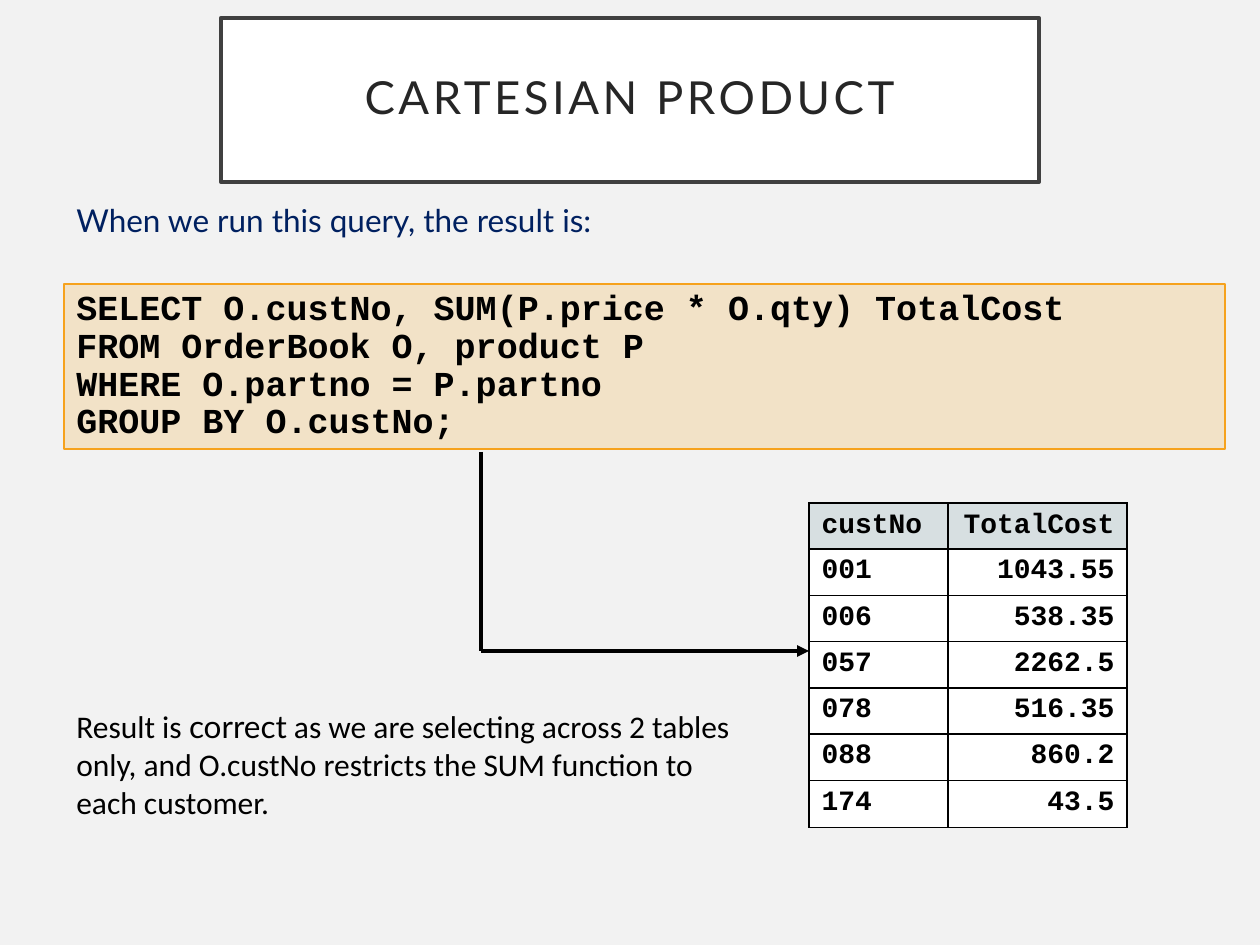
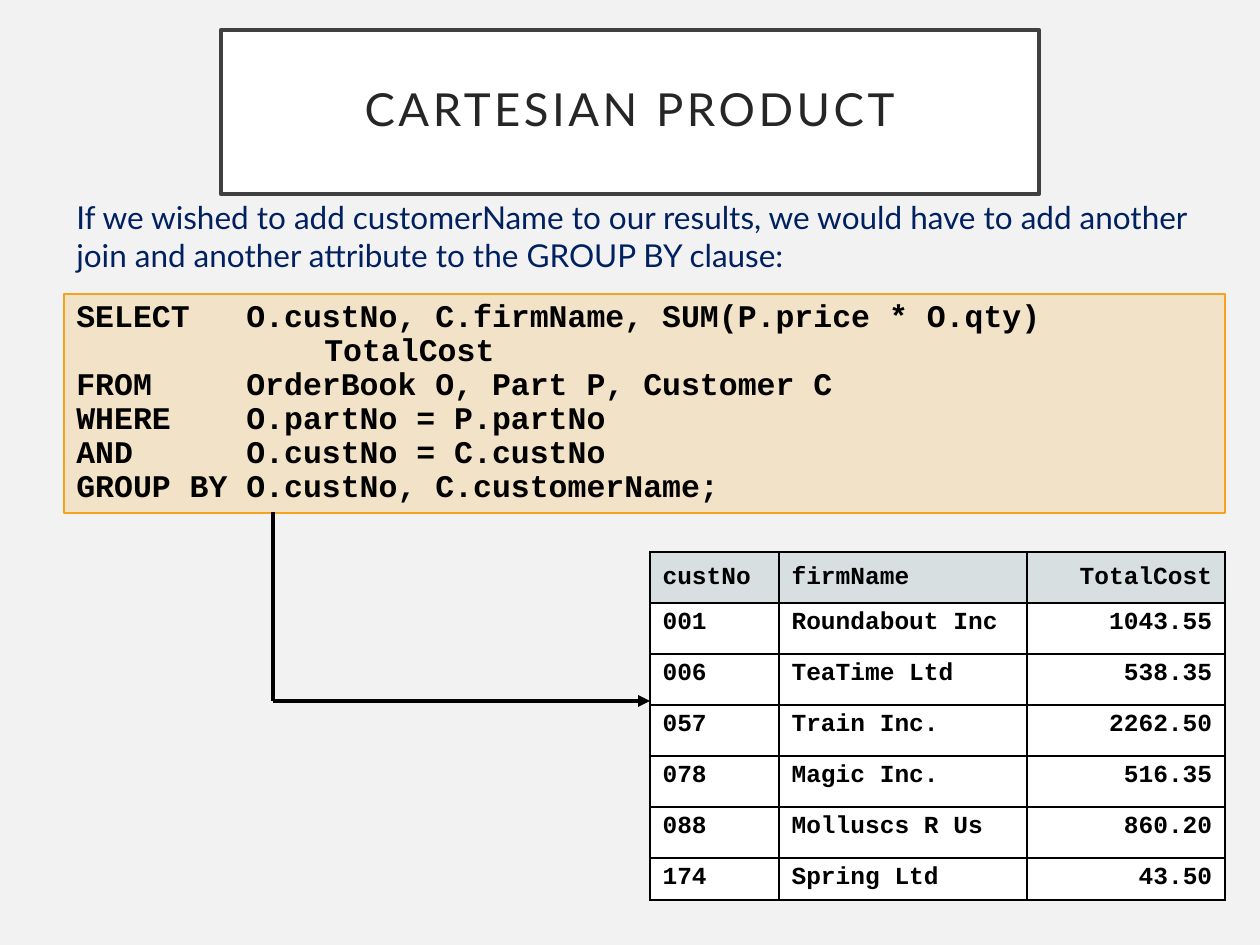
from lxml import etree
from pptx import Presentation
from pptx import util as u
from pptx.dml.color import RGBColor
from pptx.enum import shapes, text
from pptx.oxml.ns import qn

PX = u.Inches(1) // 126
COLORS = {"page": "F2F2F2", "white": "FFFFFF", "frame": "404040", "title": "262626",
          "code": "F6A21D", "lead": "002060", "ink": "000000", "header": "D7DFE1"}
rgb = {name: RGBColor.from_string(value) for name, value in COLORS.items()}
LEFT, WIDTH = 64, 1161  # code panel, shared with the lead text

slides = [
    {"title_top": 18,
     "lead": "When we run this query, the result is:", "lead_box": (195, 50),
     "code": ["SELECT O.custNo, SUM(P.price * O.qty) TotalCost",
              "FROM OrderBook O, product P",
              "WHERE O.partno = P.partno",
              "GROUP BY O.custNo;"],
     "code_box": (284, 165), "code_size": 20, "hang": 84,
     "elbow": (481, 452, 651),
     "table_at": (809, 503), "cols": [139, 179], "rows": [46] * 6 + [47], "cell_size": 16,
     "cells": [["custNo", "TotalCost"], ["001", "1043.55"], ["006", "538.35"],
               ["057", "2262.5"], ["078", "516.35"], ["088", "860.2"], ["174", "43.5"]],
     "note": [("Result is ", "Calibri"), ("correct", "Lato"),
              (" as we are selecting across 2 tables only, and O.custNo restricts "
               "the SUM function to each customer.", "Calibri")]},
    {"title_top": 30,
     "lead": "If we wished to add customerName to our results, we would have to add "
             "another join and another attribute to the GROUP BY clause:",
     "lead_box": (192, 88),
     "code": ["SELECT\tO.custNo, C.firmName, SUM(P.price * O.qty)",
              "TotalCost",
              "FROM\tOrderBook O, Part P, Customer C",
              "WHERE\tO.partNo = P.partNo",
              "AND\tO.custNo = C.custNo",
              "GROUP BY\tO.custNo, C.customerName;"],
     "code_box": (294, 219), "code_size": 18, "hang": 170,
     "elbow": (273, 512, 701),
     "table_at": (650, 552), "cols": [129, 248, 198], "rows": [51] * 6 + [42], "cell_size": 14,
     "cells": [["custNo", "firmName", "TotalCost"],
               ["001", "Roundabout Inc", "1043.55"], ["006", "TeaTime Ltd", "538.35"],
               ["057", "Train Inc.", "2262.50"], ["078", "Magic Inc.", "516.35"],
               ["088", "Molluscs R Us", "860.20"], ["174", "Spring Ltd", "43.50"]]},
]


def style(p, font, size, color, bold=False):
    for r in p.runs:
        r.font.name, r.font.size, r.font.bold = font, u.Pt(size), bold
        r.font.color.rgb = rgb[color]


def add_box(s, kind, left, top, width, height, fill=None, line=None, weight=0):
    at = [v * PX for v in (left, top, width, height)]
    if kind == "text":
        sp = s.shapes.add_textbox(*at)
    else:
        sp = s.shapes.add_shape(shapes.MSO_SHAPE.RECTANGLE, *at)
        sp.shadow.inherit = False
        sp.fill.solid()
        sp.fill.fore_color.rgb = rgb[fill]
        sp.line.color.rgb = rgb[line]
        sp.line.width = u.Pt(weight)
    sp.text_frame.word_wrap = True
    return sp


prs = Presentation()
prs.slide_width, prs.slide_height = 1260 * PX, 945 * PX

for data in slides:
    s = prs.slides.add_slide(prs.slide_layouts[6])
    s.background.fill.solid()
    s.background.fill.fore_color.rgb = rgb["page"]

    # Title frame
    sp = add_box(s, "rect", 221, data["title_top"], 818, 164, "white", "frame", 2.5)
    tf = sp.text_frame
    tf.margin_left = tf.margin_right = tf.margin_top = tf.margin_bottom = 25 * PX
    tf.vertical_anchor = text.MSO_ANCHOR.MIDDLE
    tf.text = "CARTESIAN PRODUCT"
    p = tf.paragraphs[0]
    p.alignment, p.line_spacing = text.PP_ALIGN.CENTER, 0.9
    style(p, "Lato", 26, "title")
    p.runs[0].font._element.set("spc", "200")

    # Lead text
    top, height = data["lead_box"]
    tf = add_box(s, "text", LEFT, top, WIDTH, height).text_frame
    tf.text = data["lead"]
    style(tf.paragraphs[0], "Lato", 18, "lead")

    # Query panel: hanging indents align the clauses
    top, height = data["code_box"]
    sp = add_box(s, "rect", LEFT, top, WIDTH, height, "code", "code", 0.75)
    color = sp._element.spPr.find(qn("a:solidFill")).find(qn("a:srgbClr"))
    etree.SubElement(color, qn("a:alpha")).set("val", "20000")
    tf = sp.text_frame
    tf.vertical_anchor = text.MSO_ANCHOR.TOP
    tf.text = "\n".join(data["code"])
    for p in tf.paragraphs:
        p.alignment, p.line_spacing = text.PP_ALIGN.LEFT, 0.9
        alias = p.text == "TotalCost"
        pPr = p._p.get_or_add_pPr()
        pPr.set("marL", str((248 if alias else data["hang"]) * PX))
        pPr.set("indent", str(0 if alias else -data["hang"] * PX))
        style(p, "Courier New", data["code_size"], "ink", True)

    # Result table
    left, top = data["table_at"]
    cols, rows = data["cols"], data["rows"]
    table = s.shapes.add_table(len(rows), len(cols), left * PX, top * PX,
                               sum(cols) * PX, sum(rows) * PX).table
    for column, width in zip(table.columns, cols):
        column.width = width * PX
    for i, values in enumerate(data["cells"]):
        table.rows[i].height = rows[i] * PX
        for j, value in enumerate(values):
            cell = table.cell(i, j)
            cell.text = value
            p = cell.text_frame.paragraphs[0]
            if j == len(cols) - 1:
                p.alignment = text.PP_ALIGN.RIGHT
            style(p, "Courier New", data["cell_size"], "ink", True)
            cell.vertical_anchor = text.MSO_ANCHOR.TOP if i else text.MSO_ANCHOR.MIDDLE
            tcPr = cell._tc.get_or_add_tcPr()
            for side in ("lnL", "lnR", "lnT", "lnB"):
                ln = etree.SubElement(tcPr, qn("a:" + side), w=str(u.Pt(1)))
                fill = etree.SubElement(ln, qn("a:solidFill"))
                etree.SubElement(fill, qn("a:srgbClr"), val=COLORS["ink"])
            cell.fill.solid()
            cell.fill.fore_color.rgb = rgb["white" if i else "header"]

    # Path from the query down and across to the table
    x, start, y = data["elbow"]
    for points, arrow in (((x, start, x, y), False), ((x, y, left, y), True)):
        line = s.shapes.add_connector(shapes.MSO_CONNECTOR.STRAIGHT, *[v * PX for v in points])
        line.line.color.rgb = rgb["ink"]
        line.line.width = u.Pt(2.25)
        if arrow:
            etree.SubElement(line.line._get_or_add_ln(), qn("a:tailEnd"), type="triangle")
        etree.SubElement(line._element.spPr, qn("a:effectLst"))

    # Closing note
    if "note" in data:
        p = add_box(s, "text", LEFT, 701, 708, 127).text_frame.paragraphs[0]
        for words, font in data["note"]:
            r = p.add_run()
            r.text = words
        style(p, "Calibri", 18, "ink")
        for r, (words, font) in zip(p.runs, data["note"]):
            r.font.name = font

prs.save("out.pptx")
